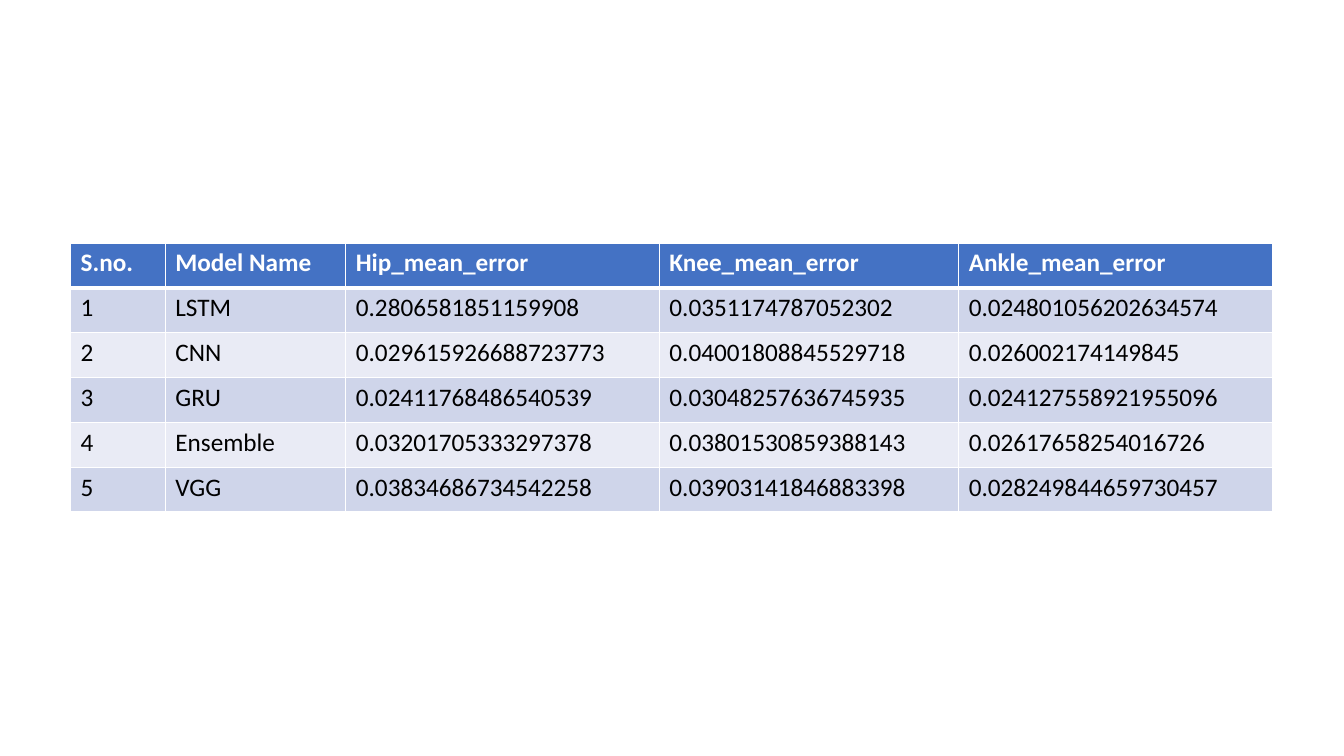
import dataclasses
import typing

import lxml.etree
import pptx
import pptx.dml.color
import pptx.oxml.ns
import pptx.table
import pptx.util


@dataclasses.dataclass(frozen=True)
class Theme:
    font: str = "Calibri"
    text_size: int = 18
    header_fill: str = "4472C4"
    band_fills: tuple[str, str] = ("CFD5EA", "E9EBF5")
    header_text: str = "FFFFFF"
    body_text: str = "000000"
    border: str = "FFFFFF"
    border_points: int = 1
    header_rule_points: int = 3


@dataclasses.dataclass(frozen=True)
class Column:
    heading: str
    width: float


class ModelError(typing.NamedTuple):
    number: str
    model: str
    hip: str
    knee: str
    ankle: str


@dataclasses.dataclass(frozen=True)
class RowStyle:
    fill: str
    text: str
    bold: bool
    top_points: int
    bottom_points: int


THEME = Theme()
SLIDE_WIDTH, SLIDE_HEIGHT = 13.33, 7.5
TABLE_LEFT, TABLE_TOP, TABLE_HEIGHT = 0.7, 2.41, 2.67

COLUMNS = [
    Column("S.no.", 0.94),
    Column("Model Name", 1.79),
    Column("Hip_mean_error", 3.11),
    Column("Knee_mean_error", 2.97),
    Column("Ankle_mean_error", 3.11),
]
MODEL_ERRORS = [
    ModelError("1", "LSTM", "0.2806581851159908", "0.0351174787052302", "0.024801056202634574"),
    ModelError("2", "CNN", "0.029615926688723773", "0.04001808845529718", "0.026002174149845"),
    ModelError("3", "GRU", "0.02411768486540539", "0.03048257636745935", "0.024127558921955096"),
    ModelError("4", "Ensemble", "0.03201705333297378", "0.03801530859388143", "0.02617658254016726"),
    ModelError("5", "VGG", "0.03834686734542258", "0.03903141846883398", "0.028249844659730457"),
]


def row_style(row_index: int) -> RowStyle:
    """Style the header row, then alternate the two band fills below it."""
    thin, thick = THEME.border_points, THEME.header_rule_points
    if row_index == 0:
        return RowStyle(THEME.header_fill, THEME.header_text, True, thin, thick)
    fill = THEME.band_fills[(row_index - 1) % 2]
    return RowStyle(fill, THEME.body_text, False, thick if row_index == 1 else thin, thin)


def add_borders(cell: pptx.table._Cell, style: RowStyle) -> None:
    """Put the four border lines ahead of the cell fill, as the schema requires."""
    qualified = pptx.oxml.ns.qn
    properties = cell._tc.get_or_add_tcPr()
    side_points = {
        "a:lnL": THEME.border_points,
        "a:lnR": THEME.border_points,
        "a:lnT": style.top_points,
        "a:lnB": style.bottom_points,
    }
    for position, (side, points) in enumerate(side_points.items()):
        line = lxml.etree.Element(qualified(side), w=str(int(pptx.util.Pt(points))))
        fill = lxml.etree.SubElement(line, qualified("a:solidFill"))
        lxml.etree.SubElement(fill, qualified("a:srgbClr"), val=THEME.border)
        properties.insert(position, line)


def fill_cell(cell: pptx.table._Cell, text: str, style: RowStyle) -> None:
    cell.fill.solid()
    cell.fill.fore_color.rgb = pptx.dml.color.RGBColor.from_string(style.fill)
    span = cell.text_frame.paragraphs[0].add_run()
    span.text = text
    font_format = {
        "name": THEME.font,
        "size": pptx.util.Pt(THEME.text_size),
        "bold": style.bold,
    }
    for attribute, value in font_format.items():
        setattr(span.font, attribute, value)
    span.font.color.rgb = pptx.dml.color.RGBColor.from_string(style.text)
    add_borders(cell, style)


def main() -> None:
    deck = pptx.Presentation()
    deck.slide_width = pptx.util.Inches(SLIDE_WIDTH)
    deck.slide_height = pptx.util.Inches(SLIDE_HEIGHT)
    page = deck.slides.add_slide(deck.slide_layouts[6])

    table_rows = [[column.heading for column in COLUMNS], *MODEL_ERRORS]
    table = page.shapes.add_table(
        len(table_rows),
        len(COLUMNS),
        pptx.util.Inches(TABLE_LEFT),
        pptx.util.Inches(TABLE_TOP),
        pptx.util.Inches(sum(column.width for column in COLUMNS)),
        pptx.util.Inches(TABLE_HEIGHT),
    ).table
    for table_column, column in zip(table.columns, COLUMNS):
        table_column.width = pptx.util.Inches(column.width)
    for row_index, texts in enumerate(table_rows):
        style = row_style(row_index)
        for column_index, text in enumerate(texts):
            fill_cell(table.cell(row_index, column_index), text, style)

    deck.save("out.pptx")


if __name__ == "__main__":
    main()
